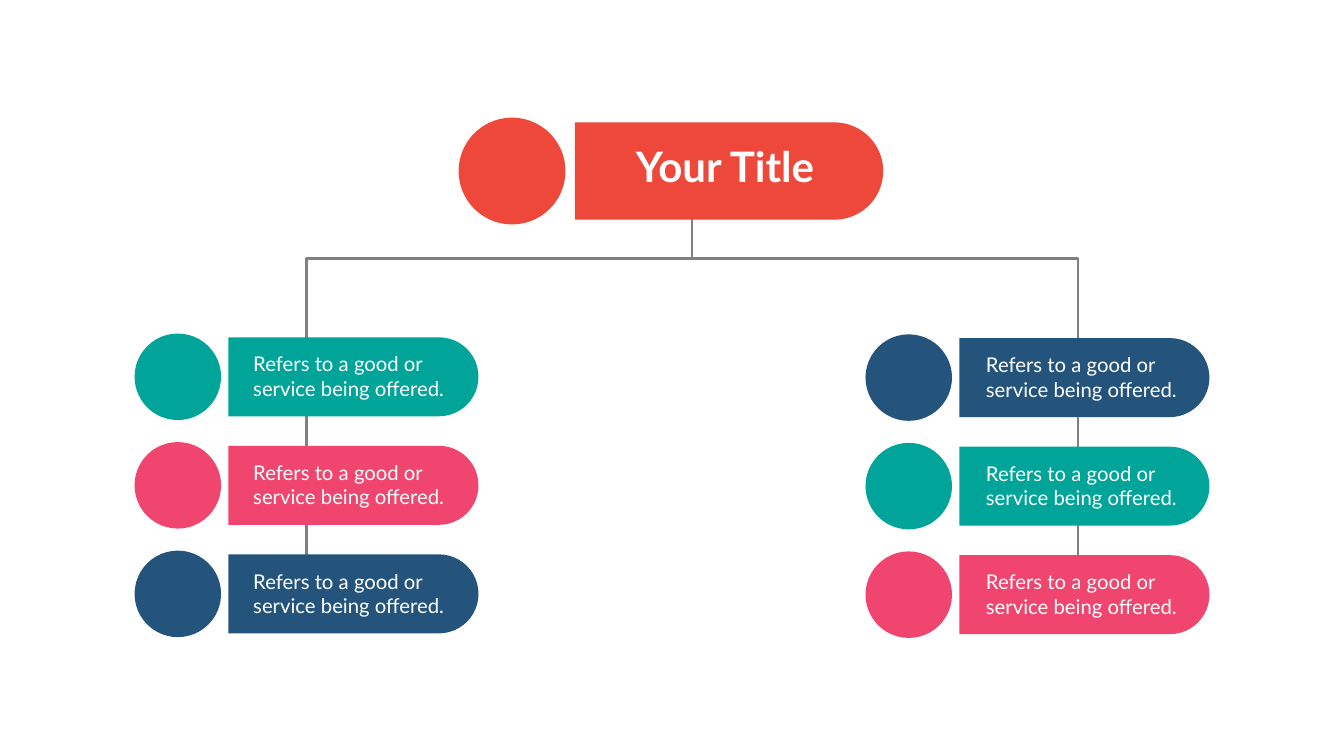
from lxml import etree
from pptx import Presentation
from pptx.dml.color import RGBColor
from pptx.enum import shapes, text
from pptx.oxml.ns import qn
from pptx.util import Cm, Pt

RED = RGBColor(0xED, 0x48, 0x39)
TEAL = RGBColor(0x00, 0xA4, 0x99)
PINK = RGBColor(0xEF, 0x45, 0x6E)
NAVY = RGBColor(0x24, 0x54, 0x7C)
GREY = RGBColor(0x80, 0x80, 0x80)
WHITE = RGBColor(0xFF, 0xFF, 0xFF)
NOTE = "Refers to a good or service being offered."


def badge(left, top, wide, high, disc, gap, color):
    """Draw a bar with a round right end, and a disc centred to its left."""
    # The preset has its round end on top, so it is turned a quarter clockwise.
    bar = tree.add_shape(
        shapes.MSO_SHAPE.ROUND_2_SAME_RECTANGLE,
        Cm(left + (wide - high) / 2), Cm(top - (wide - high) / 2),
        Cm(high), Cm(wide))
    bar.rotation = 90
    bar.adjustments[0] = 0.5
    dot = tree.add_shape(
        shapes.MSO_SHAPE.OVAL, Cm(left - gap - disc),
        Cm(top + (high - disc) / 2), Cm(disc), Cm(disc))
    for part in (bar, dot):
        part.shadow.inherit = False
        part.fill.solid()
        part.fill.fore_color.rgb = color
        part.line.fill.background()


def write(box, words, size, **extra):
    box.text_frame.text = words
    para = box.text_frame.paragraphs[0]
    look = {"name": "Lato", "size": Pt(size), **extra}
    for key, value in look.items():
        setattr(para.font, key, value)
    para.font.color.rgb = WHITE
    return para


deck = Presentation()
deck.slide_width, deck.slide_height = Cm(67.72), Cm(38.1)
slide = deck.slides.add_slide(deck.slide_layouts[5])
tree = slide.shapes

# Connecting lines
stem = tree.add_connector(
    shapes.MSO_CONNECTOR.STRAIGHT, Cm(34.88), Cm(10.77), Cm(34.88), Cm(13.03))
etree.SubElement(stem.element.spPr, qn("a:effectLst"))
pen = tree.build_freeform(Cm(15.44), Cm(31.47))
pen.add_line_segments(
    [(Cm(15.44), Cm(13.03)), (Cm(54.31), Cm(13.03)), (Cm(54.31), Cm(31.47))],
    close=False)
frame = pen.convert_to_shape()
frame.shadow.inherit = False
frame.fill.background()
for rule in (stem, frame):
    rule.line.color.rgb = GREY
    rule.line.width = Pt(3.46)

# Title
badge(28.96, 6.17, 15.54, 4.9, 5.38, 0.47, RED)
title = tree.title
place = {"left": 31.3, "top": 6.96, "width": 10.46, "height": 2.82}
for key, value in place.items():
    setattr(title, key, Cm(value))
head = write(title, "Your Title", 60, bold=True)
head.alignment = text.PP_ALIGN.CENTER
title.text_frame.word_wrap = False
title.text_frame.auto_size = text.MSO_AUTO_SIZE.NONE
title.text_frame.vertical_anchor = text.MSO_ANCHOR.MIDDLE
title.element.getparent().append(title.element)  # in front of its bar

# Two branches: bar left, first top, text inset, colours
sides = [
    (11.51, 17.0, 1.0, (TEAL, PINK, NAVY)),
    (48.34, 17.04, 1.09, (NAVY, TEAL, PINK)),
]
for left, first, inset, colors in sides:
    for row, color in enumerate(colors):
        top = first + 5.47 * row
        badge(left, top, 12.6, 3.98, 4.36, 0.37, color)
        box = tree.add_textbox(
            Cm(left + inset), Cm(top + 0.6), Cm(10.49), Cm(2.74))
        box.text_frame.word_wrap = True
        write(box, NOTE, 29)

deck.save("out.pptx")
